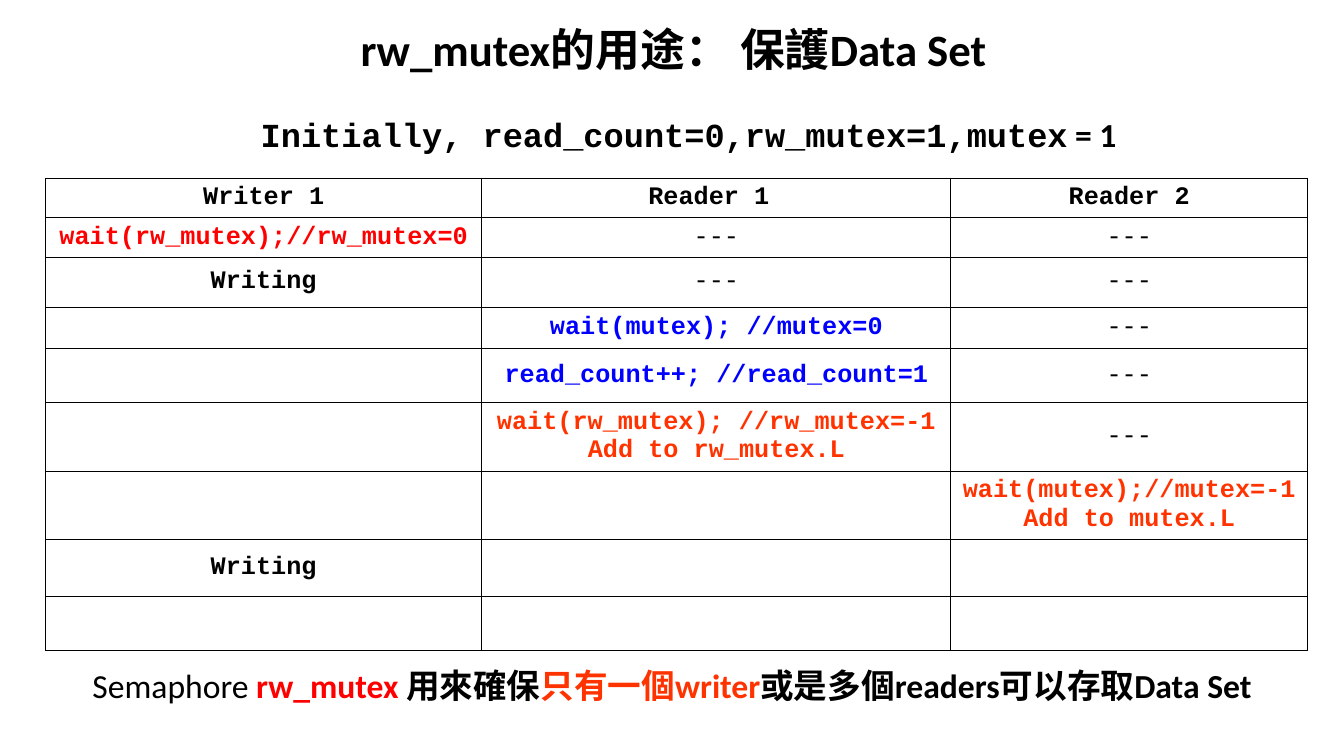
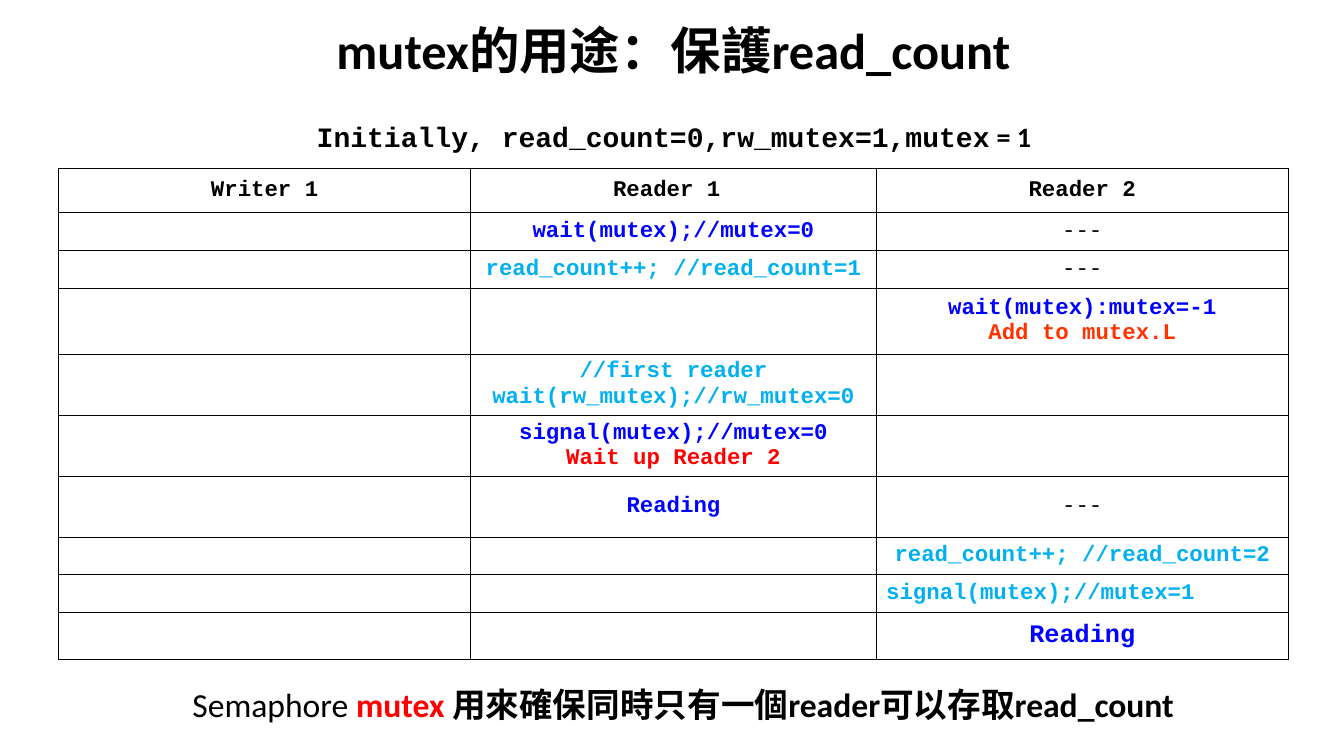
from lxml.etree import SubElement
from pptx import Presentation
from pptx.dml.color import RGBColor
from pptx.enum.text import MSO_ANCHOR, MSO_AUTO_SIZE, PP_ALIGN
from pptx.oxml.ns import qn
from pptx.util import Inches, Pt

BLACK, WHITE, RED, ORANGE = "000000", "FFFFFF", "FF0000", "FF3300"
BLUE, SKY = "0000FF", "00B0F0"
SANS, CODE = "Calibri", "Courier New"
IDLE = "---"


def color(code):
    return RGBColor.from_string(code)


class Slides:
    """Shared style and current page; lengths are percentages of the slide."""

    def __init__(self):
        self.deck = Presentation()
        self.deck.slide_width, self.deck.slide_height = Inches(13.33), Inches(7.5)
        self.page = None

    def across(self, share):
        return round(self.deck.slide_width * share / 100)

    def down(self, share):
        return round(self.deck.slide_height * share / 100)

    def area(self, left, top, width, height):
        return self.across(left), self.down(top), self.across(width), self.down(height)

    def add_span(self, para, text, size, code=BLACK, bold=True, face=SANS):
        span = para.add_run()
        span.text = text
        span.font.name, span.font.size, span.font.bold = face, Pt(size), bold
        span.font.color.rgb = color(code)

    def add_page(self, title, size):
        self.page = self.deck.slides.add_slide(self.deck.slide_layouts[5])
        box = self.page.shapes.title
        box.left, box.top, box.width, box.height = self.area(5.1, 1.73, 90.02, 9.47)
        frame = box.text_frame
        frame.auto_size = MSO_AUTO_SIZE.NONE
        frame.vertical_anchor = MSO_ANCHOR.MIDDLE
        para = frame.paragraphs[0]
        para.alignment = PP_ALIGN.CENTER
        self.add_span(para, title, size)

    def add_line(self, area, size, spans):
        box = self.page.shapes.add_textbox(*self.area(*area))
        frame = box.text_frame
        frame.word_wrap = True
        frame.auto_size = MSO_AUTO_SIZE.SHAPE_TO_FIT_TEXT
        para = frame.paragraphs[0]
        para.alignment = PP_ALIGN.CENTER
        for text, *style in spans:
            self.add_span(para, text, size, *style)

    def add_initial_state(self, area, size):
        self.add_line(area, size, [
            ("Initially, read_count=0,rw_mutex=1,mutex", BLACK, True, CODE),
            (" = 1",)])

    def add_summary(self, left, top, spans):
        self.add_line((left, top, 90.1, 6.67), 24, [("Semaphore ", BLACK, False)] + spans)

    def add_borders(self, cell):
        properties = cell._tc.get_or_add_tcPr()
        for side in ("lnL", "lnR", "lnT", "lnB"):
            line = SubElement(properties, qn(f"a:{side}"), w=str(Pt(0.75)))
            fill = SubElement(line, qn("a:solidFill"))
            SubElement(fill, qn("a:srgbClr"), val=BLACK)

    def fill_cell(self, cell, lines, size):
        self.add_borders(cell)
        cell.fill.solid()
        cell.fill.fore_color.rgb = color(WHITE)
        cell.vertical_anchor = MSO_ANCHOR.MIDDLE
        frame = cell.text_frame
        for index, (text, code, *options) in enumerate(lines):
            para = frame.add_paragraph() if index else frame.paragraphs[0]
            style = options[0] if options else {}
            para.alignment = style.get("align", PP_ALIGN.CENTER)
            self.add_span(para, text, style.get("size", size), code, text != IDLE, CODE)
        if not lines:
            # An empty cell keeps the text size, so its row stays low
            SubElement(frame.paragraphs[0]._p, qn("a:endParaRPr"), sz=str(size * 100))

    def add_timeline(self, left, top, columns, rows, size, steps):
        area = self.area(left, top, sum(columns), sum(rows))
        table = self.page.shapes.add_table(len(rows), len(columns), *area).table
        table.first_row = table.horz_banding = False
        for column, share in zip(table.columns, columns):
            column.width = self.across(share)
        for row, share in zip(table.rows, rows):
            row.height = self.down(share)
        for row, step in zip(table.rows, [HEADER] + steps):
            for cell, lines in zip(row.cells, step):
                self.fill_cell(cell, lines, size)


# Cells used on both pages
EMPTY = []
WAITING = [(IDLE, BLACK)]
WRITING = [("Writing", BLACK)]
HEADER = [[(name, BLACK)] for name in ("Writer 1", "Reader 1 ", "Reader 2")]


def build_data_set_page(slides):
    slides.add_page("rw_mutex的用途： 保護Data Set", 32)
    slides.add_timeline(
        3.38, 23.6, (32.48, 34.88, 26.56),
        (5.2, 5.2, 6.67, 5.2, 7.2, 9.07, 9.07, 7.47, 7.2), 18, [
            [[("wait(rw_mutex);//rw_mutex=0", RED)], WAITING, WAITING],
            [WRITING, WAITING, WAITING],
            [EMPTY, [("wait(mutex); //mutex=0", BLUE)], WAITING],
            [EMPTY, [("read_count++; //read_count=1", BLUE)], WAITING],
            [EMPTY, [("wait(rw_mutex); //rw_mutex=-1", ORANGE),
                     ("Add to rw_mutex.L", ORANGE)], WAITING],
            [EMPTY, EMPTY, [("wait(mutex);//mutex=-1", ORANGE),
                            ("Add to mutex.L", ORANGE)]],
            [WRITING, EMPTY, EMPTY],
            [EMPTY, EMPTY, EMPTY],
        ])
    slides.add_initial_state((17.55, 14.4, 67.37, 6.67), 24)
    slides.add_summary(4.95, 87.33, [
        ("rw_mutex ", RED), ("用來確保",), ("只有一個writer", ORANGE),
        ("或是多個readers可以存取Data Set",)])


def build_read_count_page(slides):
    slides.add_page("mutex的用途：保護read_count", 36)
    slides.add_timeline(
        4.35, 22.27, (30.68, 30.16, 30.68),
        (5.87, 4.67, 5.07, 8.67, 8.1, 8.1, 8, 4.8, 4.8, 6.3), 16, [
            [EMPTY, [("wait(mutex);//mutex=0", BLUE)], WAITING],
            [EMPTY, [("read_count++; //read_count=1", SKY)], WAITING],
            [EMPTY, EMPTY, [("wait(mutex):mutex=-1", BLUE),
                            ("Add to mutex.L", ORANGE)]],
            [EMPTY, [("//first reader", SKY),
                     ("wait(rw_mutex);//rw_mutex=0", SKY)], EMPTY],
            [EMPTY, [("signal(mutex);//mutex=0", BLUE),
                     ("Wait up Reader 2", RED)], EMPTY],
            [EMPTY, [("Reading", BLUE)], WAITING],
            [EMPTY, EMPTY, [("read_count++; //read_count=2", SKY)]],
            [EMPTY, EMPTY, [("signal(mutex);//mutex=1", SKY, {"align": PP_ALIGN.LEFT})]],
            [EMPTY, EMPTY, [("Reading", BLUE, {"size": 18})]],
        ])
    slides.add_initial_state((18.53, 15.2, 63.24, 5.87), 20)
    slides.add_summary(5.78, 89.87, [
        ("mutex ", RED), ("用來確保同時只有一個reader可以存取read_count",)])


def main():
    slides = Slides()
    build_data_set_page(slides)
    build_read_count_page(slides)
    slides.deck.save("out.pptx")


if __name__ == "__main__":
    main()
